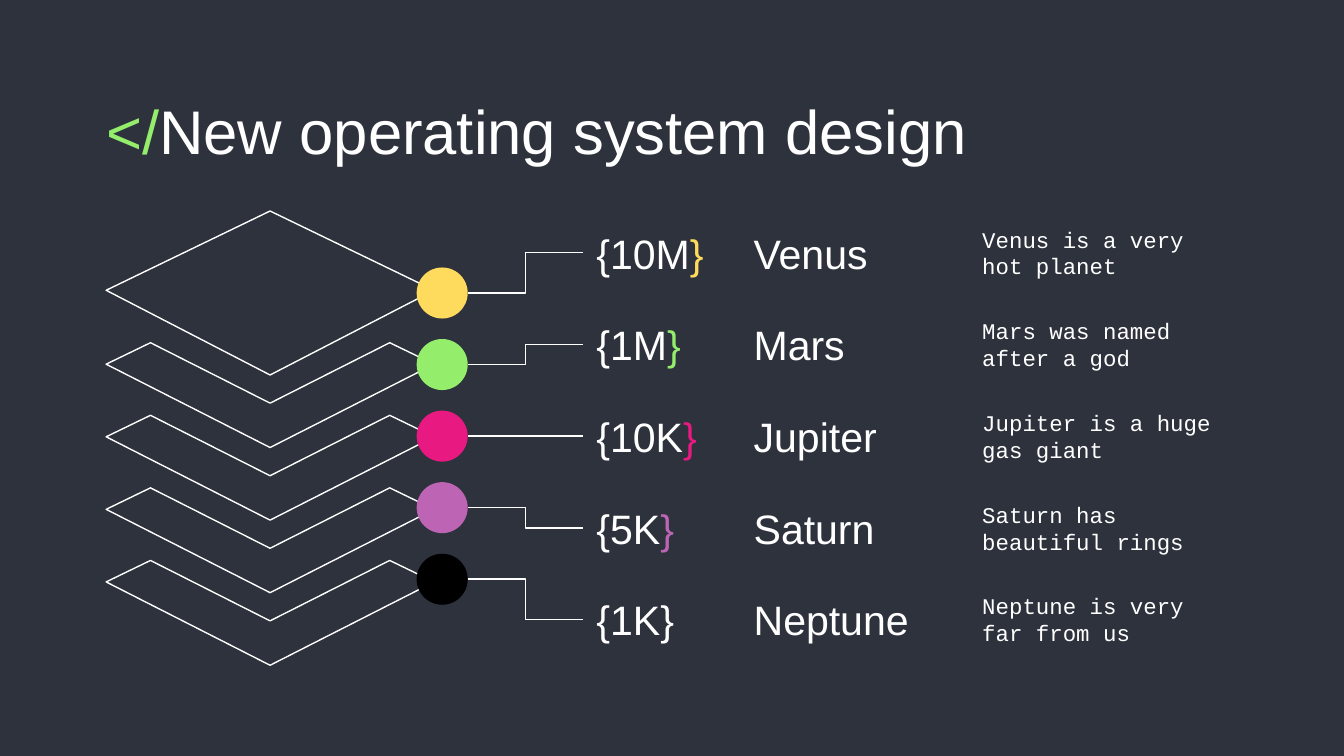
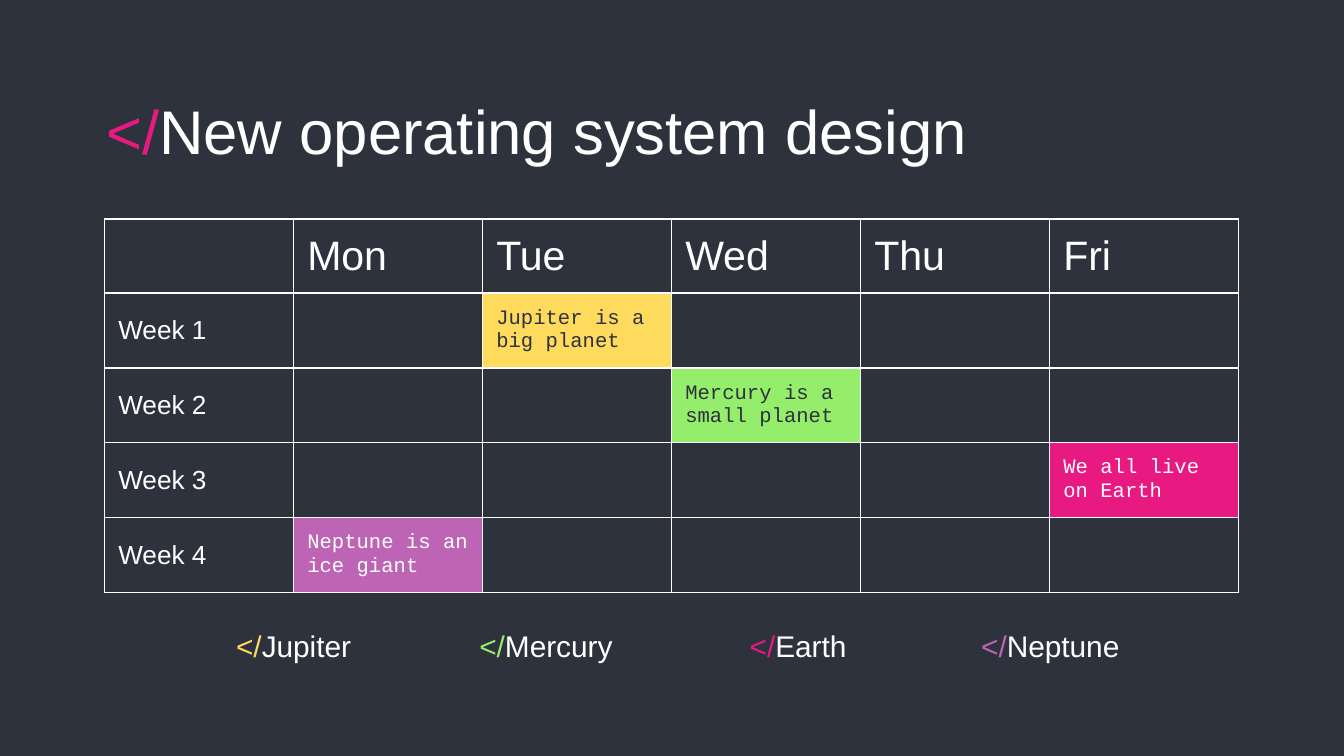
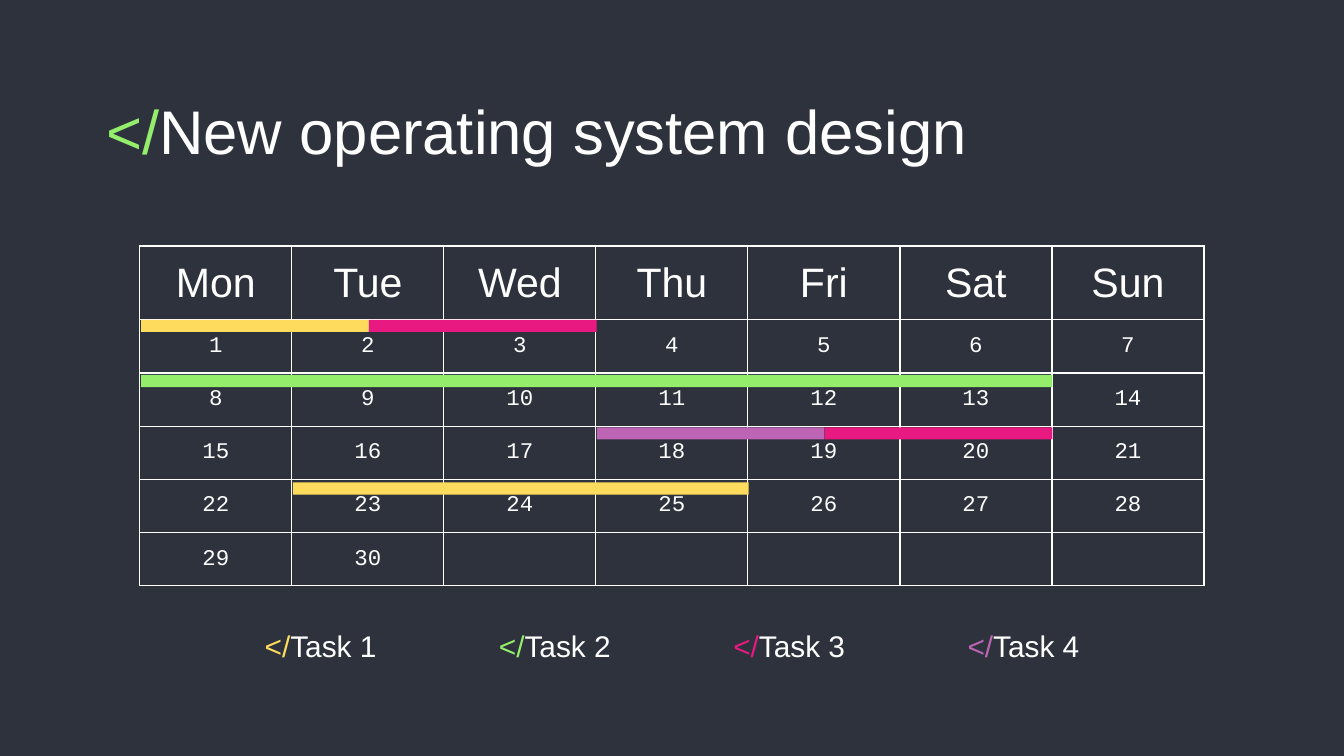
from lxml import etree
from pptx import Presentation
from pptx.dml.color import RGBColor
from pptx.enum.shapes import MSO_CONNECTOR as CONNECTOR, MSO_SHAPE as SHAPE
from pptx.enum.text import MSO_ANCHOR as ANCHOR, MSO_AUTO_SIZE as AUTO_SIZE, PP_ALIGN as ALIGN
from pptx.oxml.ns import qn
from pptx.util import Inches, Pt

COLORS = {
    "background": "2D323C",
    "white": "FFFFFF",
    "yellow": "FFDB5D",
    "green": "94EE6B",
    "pink": "E81981",
    "purple": "BD64B5",
    "black": "000000",
}
SANS, MONO = "Arial", "Courier New"
TITLE = "New operating system design"
LINE_WIDTH = Pt(0.75)
HEADER_HEIGHT = 0.55
LEGEND_COLORS = ["yellow", "green", "pink", "purple"]


def rgb(name):
    return RGBColor.from_string(COLORS[name])


def box(*lengths):
    return [Inches(length) for length in lengths]


# Text
def write(paragraph, parts, size, font=SANS, align=ALIGN.LEFT):
    """Write (text, colour) parts into one paragraph."""
    paragraph.alignment = align
    for text, color in parts:
        run = paragraph.add_run()
        run.text = text
        run.font.size = Pt(size)
        run.font.name = font
        run.font.color.rgb = rgb(color)


def set_frame(frame, anchor, side_inset=0.1):
    frame.word_wrap = True
    frame.auto_size = AUTO_SIZE.NONE
    frame.vertical_anchor = anchor
    frame.margin_left = frame.margin_right = Inches(side_inset)
    frame.margin_top = frame.margin_bottom = Inches(0.1)


def add_text(slide, place, parts, size, font=SANS, align=ALIGN.LEFT, anchor=ANCHOR.MIDDLE):
    frame = slide.shapes.add_textbox(*box(*place)).text_frame
    set_frame(frame, anchor)
    write(frame.paragraphs[0], parts, size, font, align)


def tagged(text, color):
    return [("</", color), (text, "white")]


def add_titled_slide(prs, tag_color):
    slide = prs.slides.add_slide(prs.slide_layouts[5])
    title = slide.shapes.title
    title.left, title.top, title.width, title.height = box(0.79, 0.59, 8.42, 0.63)
    set_frame(title.text_frame, ANCHOR.TOP, side_inset=0)
    write(title.text_frame.paragraphs[0], tagged(TITLE, tag_color), 33)
    return slide


def add_legend(slide, labels, first_left, last_left, width):
    step = (last_left - first_left) / (len(labels) - 1)
    for i, (label, color) in enumerate(zip(labels, LEGEND_COLORS)):
        add_text(slide, (first_left + i * step, 4.64, width, 0.4), tagged(label, color), 16,
                 align=ALIGN.CENTER, anchor=ANCHOR.BOTTOM)


# Shapes and lines
def add_filled(slide, kind, place, color):
    shape = slide.shapes.add_shape(kind, *box(*place))
    shape.shadow.inherit = False
    shape.fill.solid()
    shape.fill.fore_color.rgb = rgb(color)
    shape.line.fill.background()


def add_outline(slide, points):
    corners = [box(*point) for point in points]
    builder = slide.shapes.build_freeform(*corners[0])
    builder.add_line_segments(corners[1:], close=True)
    outline = builder.convert_to_shape()
    outline.shadow.inherit = False
    outline.fill.background()
    outline.line.color.rgb = rgb("white")
    outline.line.width = LINE_WIDTH


def add_elbow(slide, start, end):
    elbow = slide.shapes.add_connector(CONNECTOR.ELBOW, *box(*start, *end))
    elbow.line.color.rgb = rgb("white")
    elbow.line.width = LINE_WIDTH
    etree.SubElement(elbow._element.spPr, qn("a:effectLst"))


# Tables
def add_borders(cell):
    properties = cell._tc.get_or_add_tcPr()
    for side in ("lnL", "lnR", "lnT", "lnB"):
        border = etree.SubElement(properties, qn(f"a:{side}"), w=str(LINE_WIDTH))
        fill = etree.SubElement(border, qn("a:solidFill"))
        etree.SubElement(fill, qn("a:srgbClr"), val=COLORS["white"])


def add_grid(slide, place, row_count, column_count):
    """Add a bordered table with a header row and equal rows below it."""
    table = slide.shapes.add_table(row_count, column_count, *box(*place)).table
    table.first_row = table.horz_banding = False
    for column in table.columns:
        column.width = Inches(place[2] / column_count)
    for i, row in enumerate(table.rows):
        row.height = Inches((place[3] - HEADER_HEIGHT) / (row_count - 1) if i else HEADER_HEIGHT)
    for cell in table.iter_cells():
        add_borders(cell)
        cell.fill.background()
        cell.vertical_anchor = ANCHOR.MIDDLE
    return table


def fill_cell(cell, text, size, font=SANS, color="white", align=ALIGN.LEFT, fill=None):
    paragraph = cell.text_frame.paragraphs[0]
    if text:
        write(paragraph, [(text, color)], size, font, align)
    else:
        etree.SubElement(paragraph._p, qn("a:endParaRPr"), sz=str(size * 100))
    if fill:
        cell.fill.solid()
        cell.fill.fore_color.rgb = rgb(fill)


# Slides
def build_layers(prs):
    slide = add_titled_slide(prs, "green")
    left, middle, right = 0.79, 2.01, 3.23

    # Stack of layers
    add_outline(slide, [(middle, 1.57), (left, 2.16), (middle, 2.79), (right, 2.16)])
    for i in range(4):
        top = 2.55 + i * 0.54
        add_outline(slide, [(1.12, top), (left, top + 0.16), (middle, top + 0.78),
                            (right, top + 0.16), (2.9, top), (middle, top + 0.45)])

    # Planet rows, each joined to its dot
    planets = [
        ("10M", "Venus", "Venus is a very hot planet", "yellow", "yellow"),
        ("1M", "Mars", "Mars was named after a god", "green", "green"),
        ("10K", "Jupiter", "Jupiter is a huge gas giant", "pink", "pink"),
        ("5K", "Saturn", "Saturn has beautiful rings", "purple", "purple"),
        ("1K", "Neptune", "Neptune is very far from us", "black", "white"),
    ]
    row_height, dot_size = 0.5, 0.38
    row_step, dot_step = (4.36 - 1.63) / 4, (4.12 - 1.99) / 4
    for i, (amount, planet, description, dot_color, brace_color) in enumerate(planets):
        row_top, dot_top = 1.63 + i * row_step, 1.99 + i * dot_step
        if brace_color == "white":
            amount_parts = [("{" + amount + "}", "white")]
        else:
            amount_parts = [("{" + amount, "white"), ("}", brace_color)]
        add_text(slide, (4.34, row_top, 1.17, row_height), amount_parts, 22)
        add_text(slide, (5.51, row_top, 1.7, row_height), [(planet, "white")], 22)
        add_text(slide, (7.21, row_top, 2.01, row_height), [(description, "white")], 12, MONO)
        add_elbow(slide, (3.48, dot_top + dot_size / 2), (4.34, row_top + row_height / 2))
        add_filled(slide, SHAPE.OVAL, (3.1, dot_top, dot_size, dot_size), dot_color)


def build_weeks(prs):
    slide = add_titled_slide(prs, "pink")
    headers = ["", "Mon", "Tue", "Wed", "Thu", "Fri"]
    events = {
        (1, 2): ("Jupiter is a big planet", "background", "yellow"),
        (2, 3): ("Mercury is a small planet", "background", "green"),
        (3, 5): ("We all live on Earth", "white", "pink"),
        (4, 1): ("Neptune is an ice giant", "white", "purple"),
    }
    table = add_grid(slide, (0.78, 1.63, 8.44, 2.78), 5, len(headers))
    for day, header in enumerate(headers):
        fill_cell(table.cell(0, day), header, 22)
    for week in range(1, 5):
        fill_cell(table.cell(week, 0), f"Week {week}", 14)
        for day in range(1, len(headers)):
            text, color, fill = events.get((week, day), ("", "white", None))
            fill_cell(table.cell(week, day), text, 11, MONO, color, fill=fill)
    add_legend(slide, ["Jupiter", "Mercury", "Earth", "Neptune"], 1.48, 7.11, 1.41)


def build_month(prs):
    slide = add_titled_slide(prs, "green")
    headers = ["Mon", "Tue", "Wed", "Thu", "Fri", "Sat", "Sun"]
    table = add_grid(slide, (1.04, 1.83, 7.92, 2.53), 6, len(headers))
    for day, header in enumerate(headers):
        fill_cell(table.cell(0, day), header, 22, align=ALIGN.CENTER)
        for week in range(5):
            date = week * 7 + day + 1
            fill_cell(table.cell(week + 1, day), str(date) if date <= 30 else "", 12, MONO,
                      align=ALIGN.CENTER)

    # Task bars: top, first day, number of days, colour
    day_width = 1.13
    tasks = [
        (2.38, 0, 1.5, "yellow"),
        (2.38, 1.5, 1.5, "pink"),
        (2.79, 0, 6, "green"),
        (3.18, 3, 1.5, "purple"),
        (3.18, 4.5, 1.5, "pink"),
        (3.59, 1, 3, "yellow"),
    ]
    for top, first_day, days, color in tasks:
        add_filled(slide, SHAPE.RECTANGLE,
                   (1.05 + first_day * day_width, top, days * day_width, 0.09), color)
    add_legend(slide, [f"Task {number}" for number in range(1, 5)], 1.73, 6.96, 1.31)


def main():
    prs = Presentation()
    prs.slide_width = Inches(10)
    prs.slide_height = Inches(10 * 9 / 16)
    background = prs.slide_master.background.fill
    background.solid()
    background.fore_color.rgb = rgb("background")
    build_layers(prs)
    build_weeks(prs)
    build_month(prs)
    prs.save("out.pptx")


if __name__ == "__main__":
    main()
